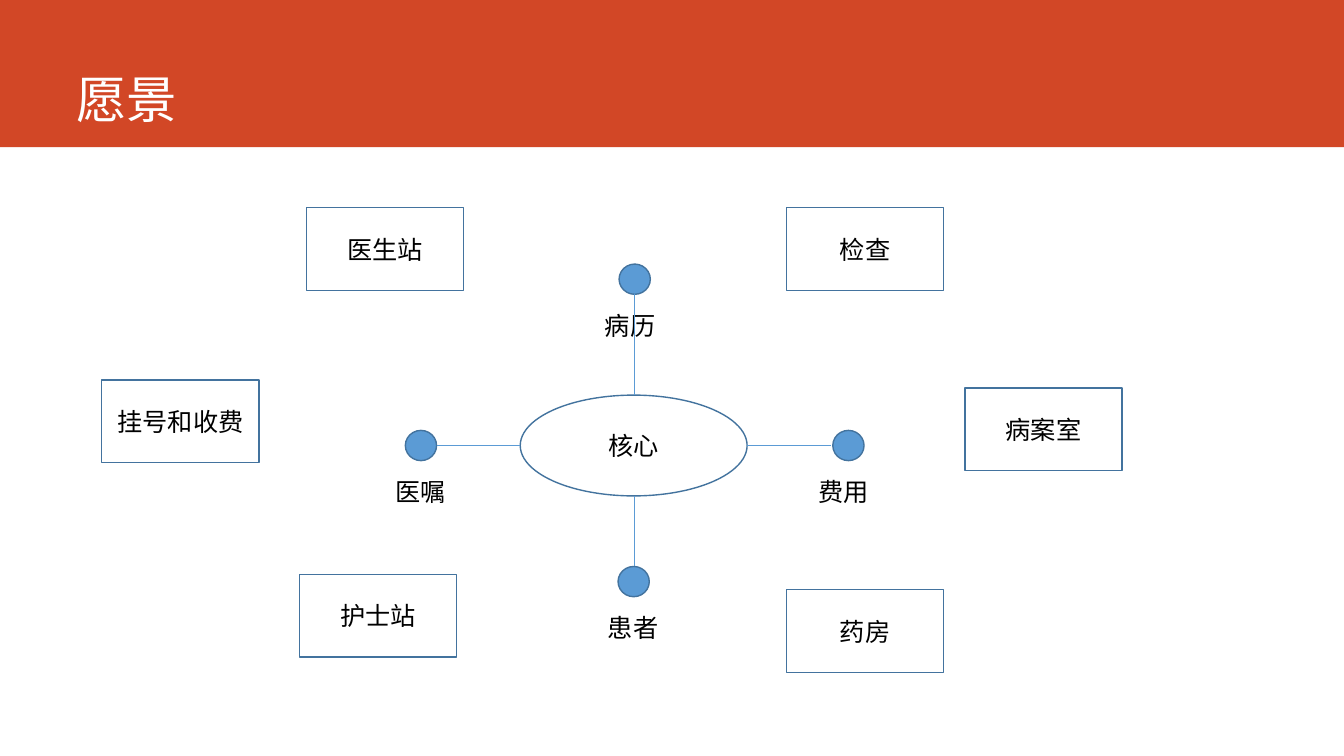
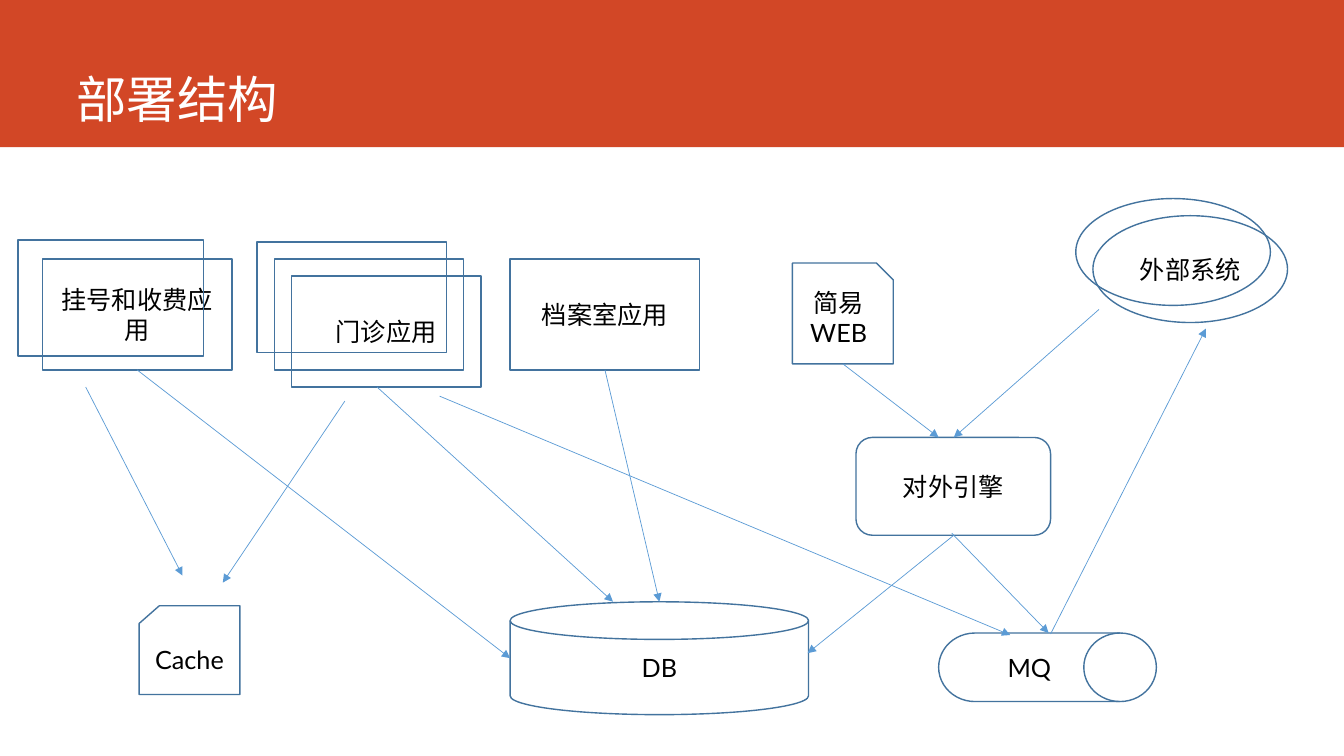
from pptx import Presentation
from pptx.dml.color import RGBColor
from pptx.enum.shapes import MSO_CONNECTOR as Link, MSO_SHAPE as Shape
from pptx.enum.text import MSO_ANCHOR as Anchor, MSO_AUTO_SIZE as Fit, PP_ALIGN as Align
from pptx.oxml.ns import qn
from pptx.util import Inches, Pt
from lxml.etree import SubElement


def color(value):
    return RGBColor.from_string(value)


def write(frame, text, size=18, font="Lato", ink="000000", align=Align.LEFT,
          anchor=Anchor.TOP, wrap=True):
    """Put one formatted line of text in a text frame."""
    frame.word_wrap = wrap
    frame.vertical_anchor = anchor
    paragraph = frame.paragraphs[0]
    paragraph.alignment = align
    run = paragraph.add_run()
    run.text = text
    run.font.size = Pt(size)
    run.font.name = font
    run.font.color.rgb = color(ink)
    east_asian = SubElement(run.font._element, qn("a:ea"))
    east_asian.set("typeface", Deck.CJK)


class Deck:
    BAND, OUTLINE, ACCENT, WHITE = "D24726", "43739E", "5B9BD5", "FFFFFF"
    CJK = "Noto Sans CJK SC"

    def __init__(self):
        self.show = Presentation()
        self.show.slide_width = Inches(13.33)
        self.show.slide_height = Inches(7.5)
        self.slide = None

    def new_slide(self, title):
        self.slide = self.show.slides.add_slide(self.show.slide_layouts[6])
        self.shape(Shape.RECTANGLE, 0, 0, 13.33, 1.46, fill=self.BAND, line=None)
        heading = self.slide.shapes.add_textbox(
            Inches(0.66), Inches(0), Inches(11.76), Inches(1.32))
        write(heading.text_frame, title, size=36, font=self.CJK, ink=self.WHITE,
              anchor=Anchor.BOTTOM)

    def shape(self, kind, left, top, width, height, text="", fill=None, line=OUTLINE):
        item = self.slide.shapes.add_shape(
            kind, Inches(left), Inches(top), Inches(width), Inches(height))
        item.shadow.inherit = False
        if fill:
            item.fill.solid()
            item.fill.fore_color.rgb = color(fill)
        else:
            item.fill.background()
        if line:
            item.line.color.rgb = color(line)
            item.line.width = Pt(1)
        else:
            item.line.fill.background()
        if text:
            write(item.text_frame, text, align=Align.CENTER, anchor=Anchor.MIDDLE)

    def label(self, left, top, text):
        box = self.slide.shapes.add_textbox(
            Inches(left), Inches(top), Inches(0.71), Inches(0.4))
        write(box.text_frame, text, wrap=False)
        box.text_frame.auto_size = Fit.SHAPE_TO_FIT_TEXT

    def line(self, start, end, arrow=False):
        link = self.slide.shapes.add_connector(
            Link.STRAIGHT, *(Inches(v) for v in (*start, *end)))
        link.line.color.rgb = color(self.ACCENT)
        link.line.width = Pt(0.5)
        if arrow:
            SubElement(link.line._get_or_add_ln(), qn("a:tailEnd")).set("type", "triangle")
        SubElement(link._element.spPr, qn("a:effectLst"))


deck = Deck()

# Vision: a core with four kinds of data, surrounded by departments
deck.new_slide("愿景")
deck.shape(Shape.OVAL, 5.16, 3.92, 2.25, 1, "核心")
data_kinds = [
    ("医嘱", 4.02, 4.27, 3.82, (4.33, 4.42), (5.16, 4.42)),
    ("病历", 6.14, 2.62, 5.9, (6.29, 2.92), (6.29, 3.92)),
    ("费用", 8.26, 4.27, 8.02, (7.41, 4.42), (8.24, 4.42)),
    ("患者", 6.13, 5.62, 5.93, (6.29, 4.92), (6.29, 5.62)),
]
for name, dot_left, dot_top, name_left, start, end in data_kinds:
    deck.shape(Shape.OVAL, dot_left, dot_top, 0.31, 0.3, fill=Deck.ACCENT)
    deck.label(name_left, dot_top + 0.41, name)
    deck.line(start, end)

departments = [
    ("医生站", 3.04, 2.06), ("护士站", 2.97, 5.7), ("检查", 7.8, 2.06),
    ("药房", 7.8, 5.85), ("病案室", 9.57, 3.85), ("挂号和收费", 1.01, 3.77),
]
for name, left, top in departments:
    deck.shape(Shape.RECTANGLE, left, top, 1.56, 0.82, name)

# Deployment: applications on top, shared services below
deck.new_slide("部署结构")
STEP = 0.17  # offset between stacked instances
deck.shape(Shape.FLOWCHART_MAGNETIC_DISK, 5.06, 5.97, 2.96, 1.12, "DB")
for layer, name in enumerate(["", "", "门诊应用"]):
    deck.shape(Shape.FLOWCHART_PROCESS, 2.55 + layer * STEP, 2.4 + layer * STEP,
               1.88, 1.1, name)
for name, left in [("档案室应用", 5.06), ("挂号和收费应用", 0.42)]:
    deck.shape(Shape.FLOWCHART_PROCESS, left, 2.57, 1.88, 1.1, name)
deck.shape(Shape.FLOWCHART_PROCESS, 0.18, 2.38, 1.84, 1.15)
for layer, name in enumerate(["", "外部系统"]):
    deck.shape(Shape.OVAL, 10.67 + layer * STEP, 1.97 + layer * STEP, 1.93, 1.06, name)

services = [
    (Shape.FLOWCHART_ALTERNATE_PROCESS, 8.49, 4.34, 1.93, 0.97, "对外引擎"),
    (Shape.SNIP_1_RECTANGLE, 7.86, 2.61, 1, 1, "简易WEB"),
    (Shape.FLOWCHART_DIRECT_ACCESS_STORAGE, 9.31, 6.28, 2.16, 0.68, "MQ"),
    (Shape.FLOWCHART_CARD, 1.38, 6.01, 1, 0.88, "Cache"),
]
for service in services:
    deck.shape(*service)

calls = [
    ((6, 3.67), (6.54, 5.97)),       # archive to DB
    ((3.74, 3.84), (6.08, 5.97)),    # clinic to DB
    ((1.36, 3.67), (5.06, 6.53)),    # registration to DB
    ((9.46, 5.31), (8.01, 6.48)),    # engine to DB
    ((10.9, 3.07), (9.46, 4.34)),    # external system to engine
    ((8.36, 3.61), (9.31, 4.34)),    # web to engine
    ((9.44, 5.29), (10.4, 6.28)),    # engine to MQ
    ((10.42, 6.29), (11.96, 3.26)),  # MQ to external system
    ((4.36, 3.93), (10.02, 6.3)),    # clinic to MQ
    ((3.42, 3.98), (2.21, 5.78)),    # clinic to cache
    ((0.85, 3.84), (1.81, 5.71)),    # registration to cache
]
for start, end in calls:
    deck.line(start, end, arrow=True)

deck.show.save("out.pptx")
